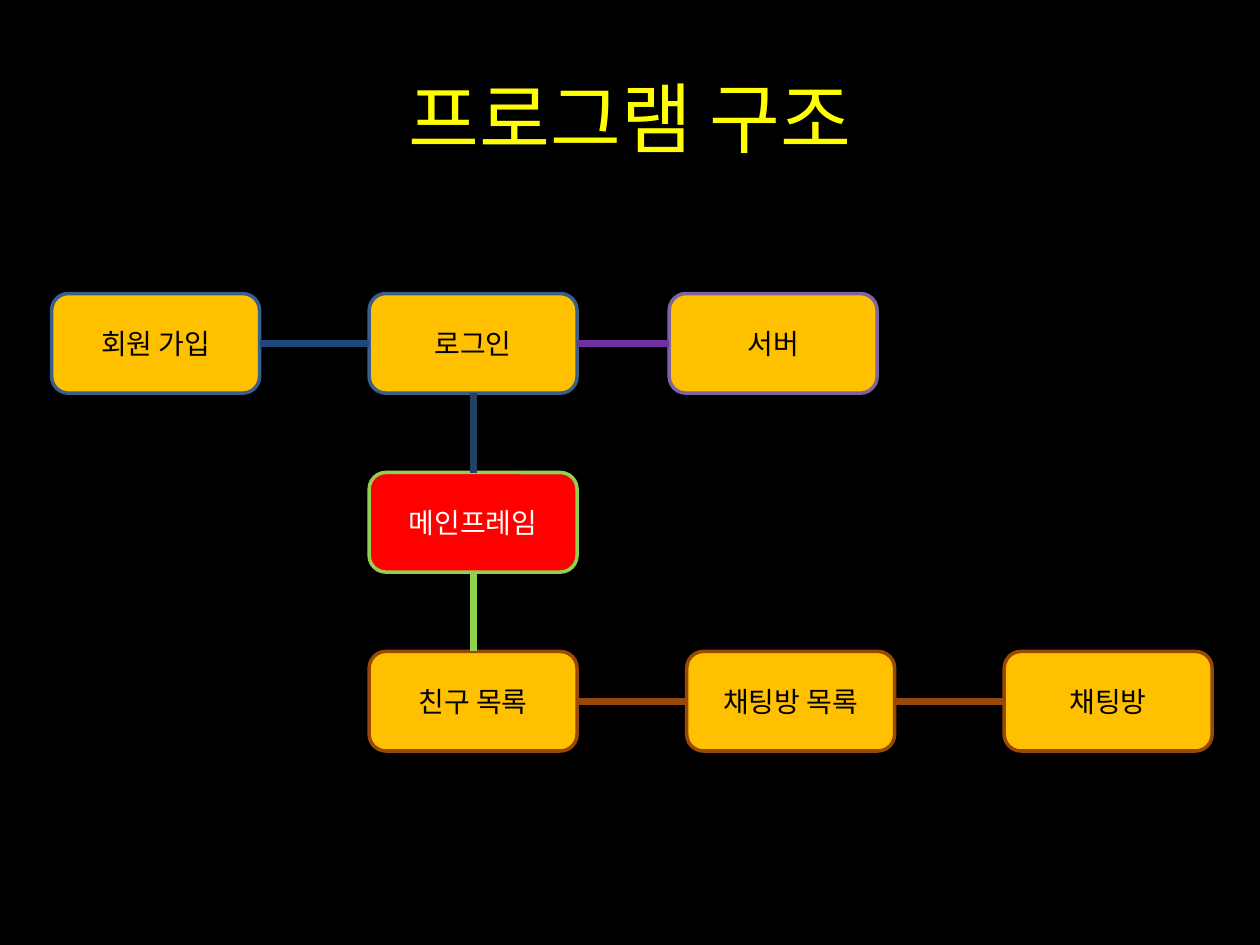
from lxml import etree
from pptx import Presentation
from pptx import util as u
from pptx.dml.color import RGBColor
from pptx.enum import shapes, text
from pptx.oxml import ns

FONT = "Noto Sans CJK KR"
BLACK = RGBColor(0x00, 0x00, 0x00)
WHITE = RGBColor(0xFF, 0xFF, 0xFF)
YELLOW = RGBColor(0xFF, 0xFF, 0x00)
AMBER = RGBColor(0xFF, 0xC0, 0x00)
RED = RGBColor(0xFF, 0x00, 0x00)
GREEN = RGBColor(0x92, 0xD0, 0x50)
STEEL = RGBColor(0x3A, 0x5F, 0x8C)
BLUE = RGBColor(0x1F, 0x49, 0x7D)
NAVY = RGBColor(0x25, 0x40, 0x61)
LILAC = RGBColor(0x80, 0x64, 0xA2)
PURPLE = RGBColor(0x70, 0x30, 0xA0)
BROWN = RGBColor(0x98, 0x48, 0x07)

LEFT, TOP = 0.41, 2.33
COLUMN, ROW = 2.52, 1.42
BOX_WIDTH, BOX_HEIGHT = 1.65, 0.79
SERVER_COLUMN = 1.945
TOP_SITE, LEFT_SITE, BOTTOM_SITE, RIGHT_SITE = range(4)


def write(shape, words, size, color):
    frame = shape.text_frame
    frame.word_wrap = True
    frame.vertical_anchor = text.MSO_ANCHOR.MIDDLE
    paragraph = frame.paragraphs[0]
    paragraph.alignment = text.PP_ALIGN.CENTER
    run = paragraph.add_run()
    run.text = words
    run.font.size = u.Pt(size)
    run.font.color.rgb = color
    run.font.name = FONT
    properties = run._r.get_or_add_rPr()
    etree.SubElement(properties, ns.qn("a:ea"), typeface=FONT)


presentation = Presentation()
presentation.slide_width = u.Inches(10)
presentation.slide_height = u.Inches(7.5)
slide = presentation.slides.add_slide(presentation.slide_layouts[6])
slide.background.fill.solid()
slide.background.fill.fore_color.rgb = BLACK

title = slide.shapes.add_textbox(u.Inches(0.5), u.Inches(0.3), u.Inches(9), u.Inches(1.25))
write(title, "프로그램 구조", 44, YELLOW)

boxes = {}
for words, column, row, fill, border, ink in [
    ("회원 가입", 0, 0, AMBER, STEEL, BLACK),
    ("로그인", 1, 0, AMBER, STEEL, BLACK),
    ("서버", SERVER_COLUMN, 0, AMBER, LILAC, BLACK),
    ("메인프레임", 1, 1, RED, GREEN, WHITE),
    ("친구 목록", 1, 2, AMBER, BROWN, BLACK),
    ("채팅방 목록", 2, 2, AMBER, BROWN, BLACK),
    ("채팅방", 3, 2, AMBER, BROWN, BLACK),
]:
    box = slide.shapes.add_shape(
        shapes.MSO_SHAPE.ROUNDED_RECTANGLE,
        u.Inches(LEFT + column * COLUMN), u.Inches(TOP + row * ROW),
        u.Inches(BOX_WIDTH), u.Inches(BOX_HEIGHT))
    box.shadow.inherit = False
    box.fill.solid()
    box.fill.fore_color.rgb = fill
    box.line.color.rgb = border
    box.line.width = u.Pt(2)
    write(box, words, 16, ink)
    boxes[words] = box

ACROSS = (LEFT_SITE, RIGHT_SITE)
UP = (TOP_SITE, BOTTOM_SITE)
for start, end, (start_site, end_site), color in [
    ("로그인", "회원 가입", ACROSS, BLUE),
    ("서버", "로그인", ACROSS, PURPLE),
    ("메인프레임", "로그인", UP, NAVY),
    ("친구 목록", "메인프레임", UP, GREEN),
    ("채팅방 목록", "친구 목록", ACROSS, BROWN),
    ("채팅방", "채팅방 목록", ACROSS, BROWN),
]:
    connector = slide.shapes.add_connector(shapes.MSO_CONNECTOR.STRAIGHT, 0, 0, 0, 0)
    connector.begin_connect(boxes[start], start_site)
    connector.end_connect(boxes[end], end_site)
    connector.line.color.rgb = color
    connector.line.width = u.Pt(4)
    etree.SubElement(connector._element.spPr, ns.qn("a:effectLst"))

presentation.save("out.pptx")
